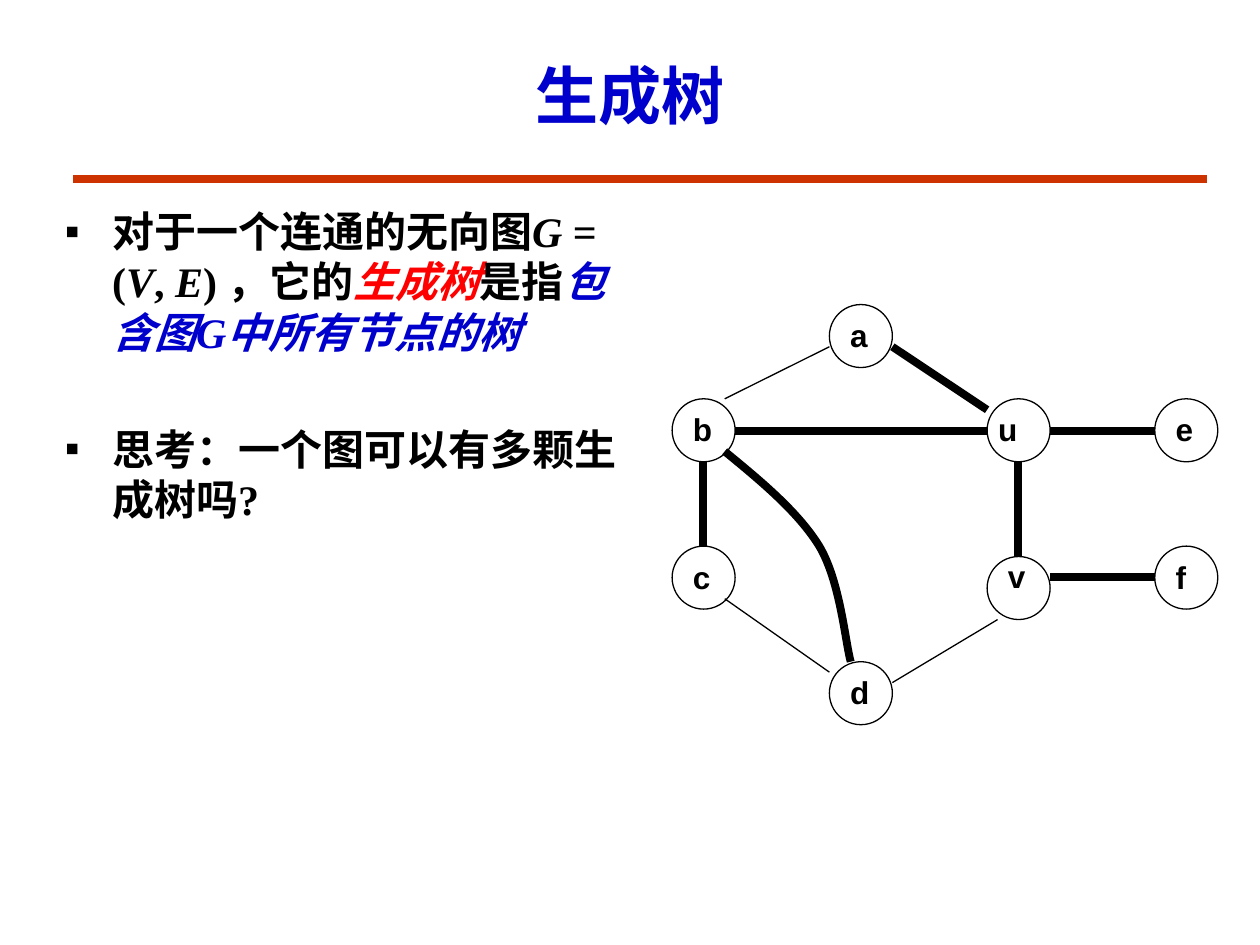
from lxml import etree
from pptx import Presentation
from pptx.dml.color import RGBColor
from pptx.enum.shapes import MSO_CONNECTOR, MSO_SHAPE
from pptx.enum.text import MSO_ANCHOR, PP_ALIGN
from pptx.oxml.ns import qn
from pptx.util import Cm, Pt

STRAIGHT = MSO_CONNECTOR.STRAIGHT
OVAL = MSO_SHAPE.OVAL
MIDDLE = MSO_ANCHOR.MIDDLE
CENTER = PP_ALIGN.CENTER
TITLE_ONLY = 5
BLACK, BLUE, RED, ORANGE = "000000", "0000CC", "FF0000", "CC3300"
THIN, THICK = 0.75, 4.5


def add_run(paragraph, text, color, **formats):
    run = paragraph.add_run()
    run.text = text
    run.font.color.rgb = RGBColor.from_string(color)
    for name, value in formats.items():
        setattr(run.font, name, value)


def style_line(shape, color, width):
    shape.line.color.rgb = RGBColor.from_string(color)
    shape.line.width = Pt(width)
    properties = shape._element.spPr
    if properties.find(qn("a:effectLst")) is None:
        etree.SubElement(properties, qn("a:effectLst"))


presentation = Presentation()
presentation.slide_width, presentation.slide_height = Cm(25.4), Cm(19.05)
slide = presentation.slides.add_slide(presentation.slide_layouts[TITLE_ONLY])
shapes = slide.shapes

title = shapes.title
title_place = {"left": 1.91, "top": 0.64, "width": 21.59, "height": 2.54}
for name, value in title_place.items():
    setattr(title, name, Cm(value))
title.text_frame.vertical_anchor = MIDDLE
paragraph = title.text_frame.paragraphs[0]
paragraph.alignment = CENTER
add_run(paragraph, "生成树", BLUE, name="Times New Roman", size=Pt(36), bold=True)

rule = shapes.add_connector(STRAIGHT, Cm(1.48), Cm(3.6), Cm(24.34), Cm(3.6))
style_line(rule, ORANGE, THICK)

diameter = 1.27
nodes = {
    "b": (13.55, 8.04),
    "c": (13.55, 11.01),
    "a": (16.72, 6.14),
    "u": (19.9, 8.04),
    "d": (16.72, 13.34),
    "v": (19.9, 11.22),
    "e": (23.28, 8.04),
    "f": (23.28, 11.01),
}
for left, top in nodes.values():
    node = shapes.add_shape(OVAL, Cm(left), Cm(top), Cm(diameter), Cm(diameter))
    node.shadow.inherit = False
    node.fill.background()
    style_line(node, BLACK, THIN)

edges = [
    (14.18, 9.31, 14.18, 11.01, THICK),
    (14.61, 8.04, 16.72, 6.99, THIN),
    (14.61, 12.07, 16.72, 13.55, THIN),
    (17.99, 13.76, 20.11, 12.49, THIN),
    (17.99, 6.99, 19.9, 8.26, THICK),
    (20.53, 9.31, 20.53, 11.22, THICK),
    (14.82, 8.68, 19.9, 8.68, THICK),
    (21.17, 8.68, 23.28, 8.68, THICK),
    (21.17, 11.64, 23.28, 11.64, THICK),
]
for *ends, width in edges:
    edge = shapes.add_connector(STRAIGHT, *map(Cm, ends))
    style_line(edge, BLACK, width)

curve_points = [(14.61, 9.1), (15.34, 9.7), (16.08, 10.31), (16.51, 11),
                (16.94, 11.71), (17.04, 12.95), (17.15, 13.34)]
points = [(Cm(x), Cm(y)) for x, y in curve_points]
builder = shapes.build_freeform(*points[0])
builder.add_line_segments(points[1:], close=False)
curve = builder.convert_to_shape()
curve.shadow.inherit = False
curve.fill.background()
style_line(curve, BLACK, THICK)
path_element = curve._element.find(".//" + qn("a:path"))
segments = path_element.findall(qn("a:lnTo"))
for start in range(0, len(segments), 3):
    bezier = etree.SubElement(path_element, qn("a:cubicBezTo"))
    for segment in segments[start:start + 3]:
        bezier.append(segment[0])
        path_element.remove(segment)

label_offsets = {"u": (-0.03, 0.11), "v": (0.17, -0.12)}
for letter, (left, top) in nodes.items():
    across, down = label_offsets.get(letter, (0.17, 0.11))
    label = shapes.add_textbox(Cm(left + across), Cm(top + down), Cm(0.86), Cm(1.02))
    label.text_frame.word_wrap = False
    add_run(label.text_frame.paragraphs[0], letter, BLACK,
            name="Arial", size=Pt(18), bold=True)

body = shapes.add_textbox(Cm(1.06), Cm(4.02), Cm(11.86), Cm(13.55))
frame = body.text_frame
frame.word_wrap = True
bullets = [
    (0, [
        ("对于一个连通的无向图", BLACK, False),
        ("G", BLACK, True),
        (" = (", BLACK, False),
        ("V", BLACK, True),
        (", ", BLACK, False),
        ("E", BLACK, True),
        (") ，它的", BLACK, False),
        ("生成树", RED, True),
        ("是指", BLACK, False),
        ("包含图G中所有节点的树", BLUE, True),
    ]),
    (38, [("思考：一个图可以有多颗生成树吗?", BLACK, False)]),
]
for index, (space, runs) in enumerate(bullets):
    paragraph = frame.add_paragraph() if index else frame.paragraphs[0]
    paragraph.space_before = Pt(space)
    properties = paragraph._p.get_or_add_pPr()
    properties.set("marL", str(Cm(0.95)))
    properties.set("indent", str(-Cm(0.95)))
    etree.SubElement(properties, qn("a:buFont"), typeface="Arial")
    etree.SubElement(properties, qn("a:buChar"), char="▪")
    for text, color, italic in runs:
        add_run(paragraph, text, color, name="Times New Roman",
                size=Pt(24), bold=True, italic=italic)

presentation.save("out.pptx")
